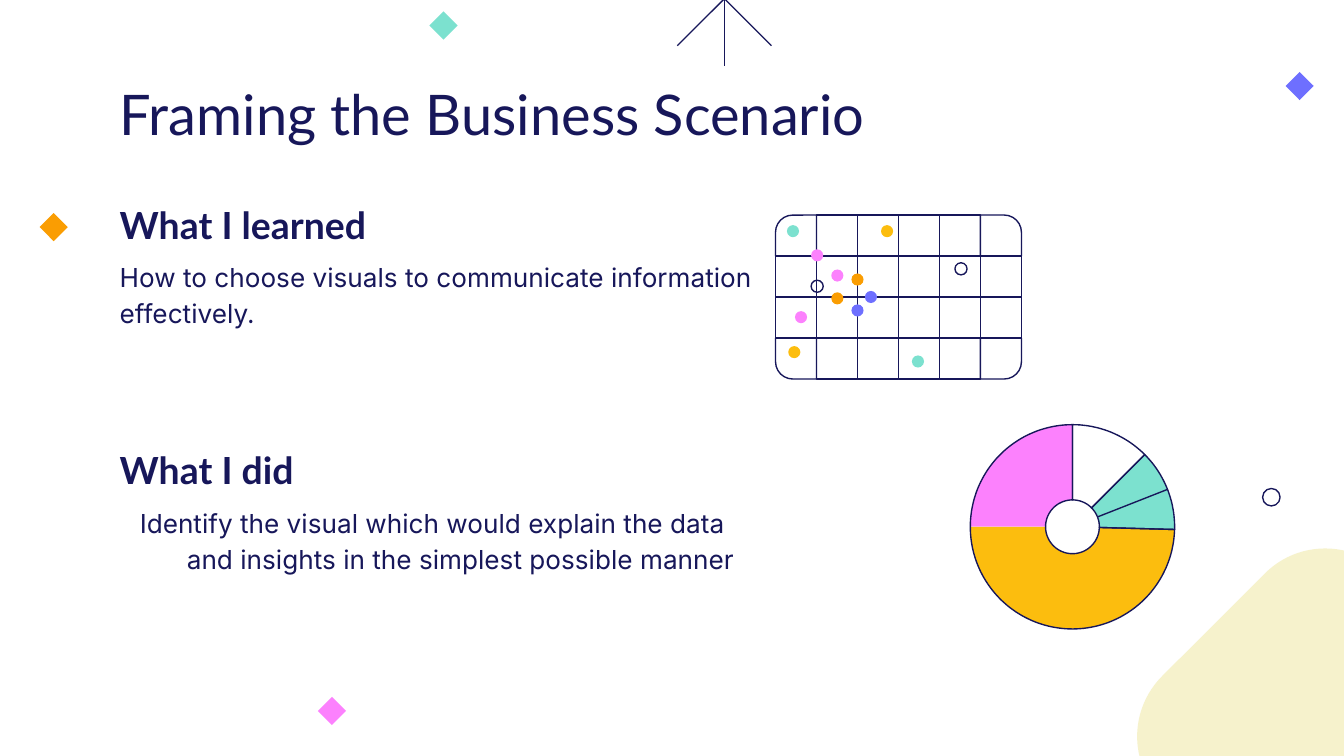
from dataclasses import dataclass
from math import cos, radians, sin
from typing import NamedTuple, Optional

from lxml.etree import SubElement
from pptx import Presentation
from pptx.dml.color import RGBColor
from pptx.enum.shapes import MSO_CONNECTOR as Link, MSO_SHAPE as Kind
from pptx.enum.text import MSO_ANCHOR as Anchor, MSO_AUTO_SIZE as Fit, PP_ALIGN as Align
from pptx.oxml.ns import qn
from pptx.shapes.base import BaseShape
from pptx.slide import Slide
from pptx.util import Inches, Pt


@dataclass(frozen=True)
class Theme:
    ink: str = "17175A"
    cream: str = "F6F2CC"
    mint: str = "7CE1CF"
    orange: str = "FA9D02"
    gold: str = "FCBD0E"
    pink: str = "FC81FD"
    violet: str = "6E6FFF"
    head_font: str = "Lato"
    body_font: str = "Inter"
    title_size: int = 30
    head_size: int = 20
    body_size: int = 14
    line: float = 0.75


T = Theme()


class Block(NamedTuple):
    slot: int
    text: str
    left: float
    top: float
    width: float
    height: float
    font: str
    size: int
    bold: bool = False
    anchor: Anchor = Anchor.TOP
    spacing: float = 1.15
    margin: float = 0
    indent: float = 0


class Mark(NamedTuple):
    x: float
    y: float
    fill: Optional[str] = None


class Slice(NamedTuple):
    start: float
    end: float
    fill: Optional[str]
    line: Optional[str]


HEAD = dict(font=T.head_font, size=T.head_size, bold=True, anchor=Anchor.BOTTOM)
BODY = dict(font=T.body_font, size=T.body_size)
BLOCKS = [
    Block(0, "Framing the Business Scenario", 0.79, 0.49, 8.43, 0.63,
          T.head_font, T.title_size, spacing=1),
    Block(2, "How to choose visuals to communicate information effectively.",
          0.79, 1.81, 4.94, 1.22, **BODY),
    Block(1, "What I learned", 0.79, 1.45, 4.04, 0.49, **HEAD),
    Block(4, "Identify the visual which would explain the data and insights "
          "in the simplest possible manner",
          0.79, 3.64, 4.94, 1.22, margin=0.5, indent=-0.35, **BODY),
    Block(3, "What I did", 0.79, 3.27, 4.04, 0.49, **HEAD),
]

GEMS = [Mark(3.3, 0.19, T.mint), Mark(0.4, 1.69, T.orange),
        Mark(2.47, 5.29, T.pink), Mark(9.67, 0.64, T.violet)]

DOTS = [
    Mark(6.08, 1.9, T.pink), Mark(6.23, 2.05, T.pink), Mark(6.6, 1.72, T.gold),
    Mark(6.38, 2.31, T.violet), Mark(6.83, 2.69, T.mint), Mark(6.48, 2.21, T.violet),
    Mark(5.9, 1.72, T.mint), Mark(6.38, 2.08, T.orange), Mark(6.23, 2.22, T.orange),
    Mark(5.96, 2.36, T.pink), Mark(5.91, 2.62, T.gold),
    Mark(6.08, 2.13), Mark(7.15, 2.0),
]

# Angles run clockwise from twelve o'clock.
HUB_X, HUB_Y, OUTER, INNER = 7.98, 3.92, 0.76, 0.2
SLICES = [
    Slice(270, 360, T.pink, None), Slice(91.5, 270, T.gold, None),
    Slice(45, 91.5, T.mint, T.ink), Slice(0, 45, None, T.ink),
    Slice(91.5, 360, None, T.ink),
]


def paint(shape: BaseShape, fill: Optional[str], line: Optional[str]) -> None:
    shape.shadow.inherit = False
    if fill:
        shape.fill.solid()
        shape.fill.fore_color.rgb = RGBColor.from_string(fill)
    else:
        shape.fill.background()
    if line:
        shape.line.color.rgb = RGBColor.from_string(line)
        shape.line.width = Pt(T.line)
    else:
        shape.line.fill.background()


def add_mark(slide: Slide, kind: Kind, mark: Mark, size: float) -> BaseShape:
    """Centre a preset on the mark; with no fill it is outlined in ink."""
    shape = slide.shapes.add_shape(kind, Inches(mark.x - size / 2), Inches(mark.y - size / 2),
                                   Inches(size), Inches(size))
    paint(shape, mark.fill, None if mark.fill else T.ink)
    return shape


def add_line(slide: Slide, x1: float, y1: float, x2: float, y2: float) -> None:
    line = slide.shapes.add_connector(Link.STRAIGHT, Inches(x1), Inches(y1),
                                      Inches(x2), Inches(y2))
    line.line.color.rgb = RGBColor.from_string(T.ink)
    line.line.width = Pt(T.line)
    SubElement(line._element.spPr, qn("a:effectLst"))


def add_text(slide: Slide, block: Block) -> None:
    box = slide.placeholders[block.slot]
    box.left, box.top = Inches(block.left), Inches(block.top)
    box.width, box.height = Inches(block.width), Inches(block.height)
    frame = box.text_frame
    frame.text = block.text
    frame.word_wrap = True
    frame.auto_size = Fit.NONE
    frame.vertical_anchor = block.anchor
    frame.margin_left = frame.margin_right = Inches(0.1)
    frame.margin_top = frame.margin_bottom = Inches(0.1)
    para = frame.paragraphs[0]
    para.alignment = Align.LEFT
    para.line_spacing = block.spacing
    para.space_before = Pt(0)
    props = para._p.get_or_add_pPr()
    props.set("marL", str(Inches(block.margin)))
    props.set("indent", str(Inches(block.indent)))
    SubElement(props, qn("a:buNone"))
    font = para.runs[0].font
    font.name, font.size, font.bold = block.font, Pt(block.size), block.bold
    font.color.rgb = RGBColor.from_string(T.ink)


def add_grid(slide: Slide, left: float, top: float, cols: int, rows: int, width: float) -> None:
    """Draw square cells, turning a one-corner preset for each outer corner."""
    cell = width / cols
    turns = {(cols - 1, 0): 0, (cols - 1, rows - 1): 90, (0, rows - 1): 180, (0, 0): 270}
    for col in range(cols):
        for row in range(rows):
            turn = turns.get((col, row))
            kind = Kind.RECTANGLE if turn is None else Kind.ROUND_1_RECTANGLE
            mark = Mark(left + (col + 0.5) * cell, top + (row + 0.5) * cell)
            shape = add_mark(slide, kind, mark, cell)
            if turn is not None:
                shape.adjustments[0] = 0.42
                shape.rotation = turn


def polar(angle: float, radius: float) -> tuple[float, float]:
    turn = radians(angle)
    return HUB_X + radius * sin(turn), HUB_Y - radius * cos(turn)


def add_slice(slide: Slide, part: Slice) -> None:
    steps = round((part.end - part.start) / 2)
    sweep = [part.start + (part.end - part.start) * i / steps for i in range(steps + 1)]
    edge = [polar(a, OUTER) for a in sweep] + [polar(a, INNER) for a in reversed(sweep)]
    points = [(Inches(x), Inches(y)) for x, y in edge]
    pen = slide.shapes.build_freeform(*points[0])
    pen.add_line_segments(points[1:], close=True)
    paint(pen.convert_to_shape(), part.fill, part.line)


def main() -> None:
    deck = Presentation()
    deck.slide_width, deck.slide_height = Inches(10), Inches(10 * 9 / 16)
    slide = deck.slides.add_slide(deck.slide_layouts.get_by_name("Comparison"))

    blob = add_mark(slide, Kind.ROUNDED_RECTANGLE, Mark(9.86, 5.48, T.cream), 2.35)
    blob.adjustments[0] = 0.27
    blob.rotation = 45
    add_line(slide, 5.39, -0.5, 5.39, 0.49)
    add_line(slide, 5.74, -0.36, 5.04, 0.34)
    add_line(slide, 5.74, 0.34, 5.04, -0.36)
    for gem in GEMS:
        add_mark(slide, Kind.DIAMOND, gem, 0.21)
    add_mark(slide, Kind.OVAL, Mark(9.46, 3.7), 0.13)

    for block in BLOCKS:
        add_text(slide, block)

    add_grid(slide, 5.77, 1.6, 6, 4, 1.83)
    for dot in DOTS:
        add_mark(slide, Kind.OVAL, dot, 0.09)

    for part in SLICES:
        add_slice(slide, part)
    add_line(slide, *polar(68.5, INNER), *polar(68.5, OUTER))

    deck.save("out.pptx")


if __name__ == "__main__":
    main()
